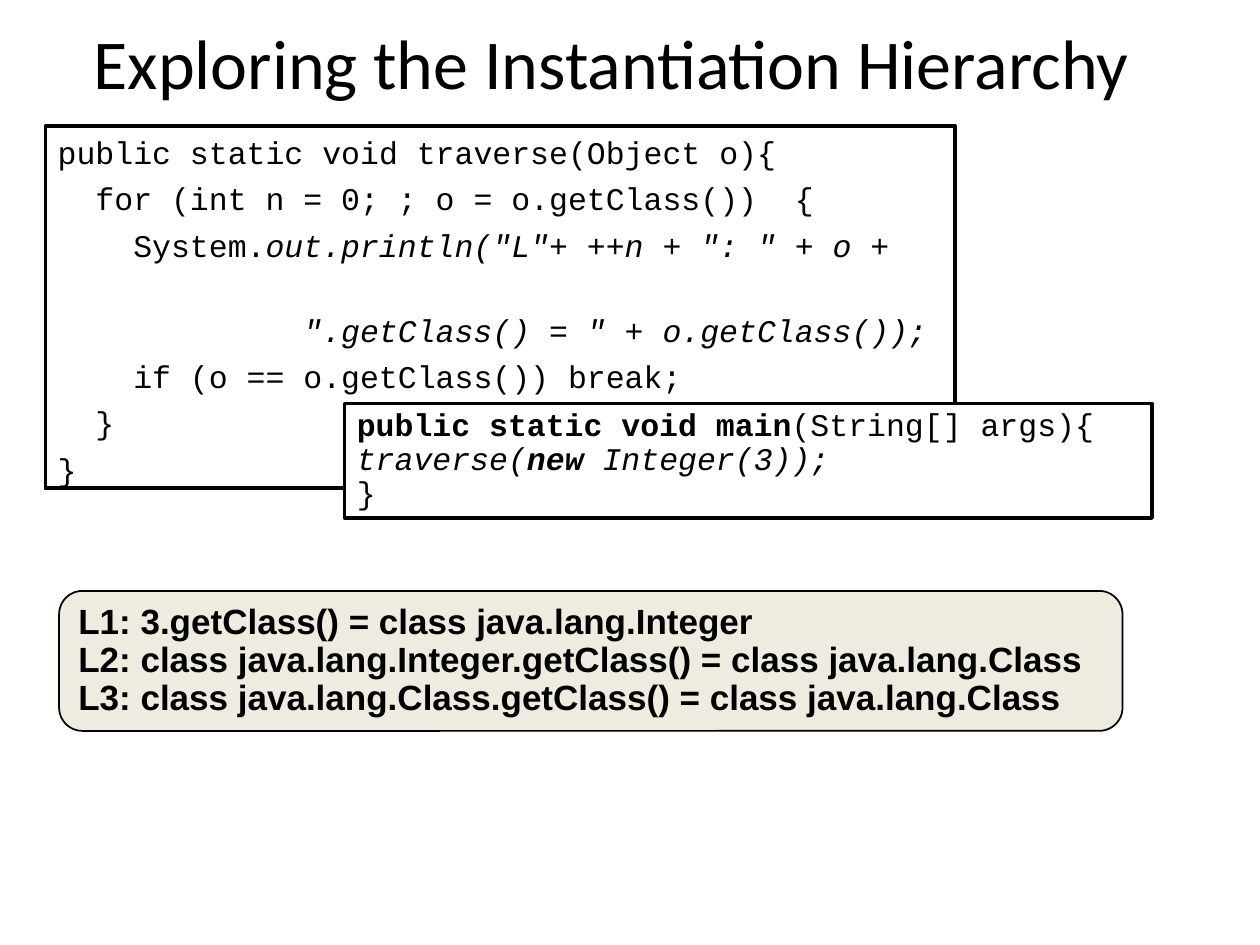
import pptx
import pptx.dml.color
import pptx.enum.shapes
import pptx.enum.text
import pptx.util

Pt = pptx.util.Pt
BLACK = pptx.dml.color.RGBColor(0x00, 0x00, 0x00)
WHITE = pptx.dml.color.RGBColor(0xFF, 0xFF, 0xFF)
CREAM = pptx.dml.color.RGBColor(0xEE, 0xEC, 0xE1)
SHAPES = pptx.enum.shapes.MSO_SHAPE
ANCHOR = pptx.enum.text.MSO_ANCHOR
ALIGN = pptx.enum.text.PP_ALIGN
CHAR = 10.8

TRAVERSE = [
    (0, [("public static void traverse(Object o){", {})]),
    (2, [("for (int n = 0; ; o = o.getClass())  {", {})]),
    (4, [("System.", {}),
         ('out.println("L"+ ++n + ": " + o +', {"italic": True})]),
    (13, [('".getClass() = " + o.getClass());', {"italic": True})]),
    (4, [("if (o == o.getClass()) break;", {})]),
    (2, [("}", {})]),
    (0, [("}", {})]),
]
MAIN = [
    [("public static void main", {"bold": True}), ("(String[] args){", {})],
    [("traverse(", {"italic": True}),
     ("new", {"italic": True, "bold": True}),
     (" Integer(3));", {"italic": True})],
    [("}", {})],
]
OUTPUT = [
    "L1: 3.getClass() = class java.lang.Integer",
    "L2: class java.lang.Integer.getClass() = class java.lang.Class",
    "L3: class java.lang.Class.getClass() = class java.lang.Class",
]


def add_text(p, text, font="Courier New", size=18, bold=False, italic=False,
             color=BLACK):
    """Add a formatted run to a paragraph."""
    r = p.add_run()
    r.text = text
    r.font.name = font
    r.font.size = Pt(size)
    r.font.bold = bold
    r.font.italic = italic
    r.font.color.rgb = color


class Deck:
    """Hold the presentation, its style and the current slide."""

    def __init__(self, width, height):
        """Start a presentation with one title-only slide."""
        self.prs = pptx.Presentation()
        self.prs.slide_width = Pt(width)
        self.prs.slide_height = Pt(height)
        self.s = self.prs.slides.add_slide(self.prs.slide_layouts[5])

    def title(self, text, x, y, w, h):
        """Place and fill the title."""
        sp = self.s.shapes.title
        sp.left, sp.top, sp.width, sp.height = Pt(x), Pt(y), Pt(w), Pt(h)
        tf = sp.text_frame
        tf.auto_size = pptx.enum.text.MSO_AUTO_SIZE.NONE
        tf.vertical_anchor = ANCHOR.MIDDLE
        p = tf.paragraphs[0]
        p.alignment = ALIGN.CENTER
        add_text(p, text, font="Calibri", size=40)

    def box(self, lines, x, y, w, h, kind=SHAPES.RECTANGLE, fill=WHITE,
            line=2, anchor=ANCHOR.TOP, spacing=0.9):
        """Add a bordered box and return its paragraphs."""
        sp = self.s.shapes.add_shape(kind, Pt(x), Pt(y), Pt(w), Pt(h))
        sp.shadow.inherit = False
        sp.fill.solid()
        sp.fill.fore_color.rgb = fill
        sp.line.color.rgb = BLACK
        sp.line.width = Pt(line)
        tf = sp.text_frame
        tf.word_wrap = True
        tf.vertical_anchor = anchor
        for i, runs in enumerate(lines):
            p = tf.add_paragraph() if i else tf.paragraphs[0]
            p.alignment = ALIGN.LEFT
            p.line_spacing = spacing
            for text, fmt in runs:
                add_text(p, text, **fmt)
        return tf.paragraphs

    def code(self, lines, x, y, w, h):
        """Add a box of code indented by character columns."""
        paragraphs = self.box([runs for _, runs in lines], x, y, w, h,
                              spacing=Pt(22))
        for p, (columns, _) in zip(paragraphs, lines):
            p._p.get_or_add_pPr().set("marL", str(Pt(columns * CHAR)))
            p.space_before = Pt(26.5 if columns > 4 else 4.5)


def main():
    """Build the slide and save it."""
    deck = Deck(720, 540)
    deck.title("Exploring the Instantiation Hierarchy", 25.2, 9.4, 648, 51)
    deck.code(TRAVERSE, 25.9, 72, 520, 207)
    deck.box(MAIN, 196.8, 230.5, 461.5, 65.5)
    style = {"font": "Arial", "size": 20, "bold": True}
    deck.box([[(text, style)] for text in OUTPUT], 33.8, 337.7, 607.7, 80,
             kind=SHAPES.ROUNDED_RECTANGLE, fill=CREAM, line=1,
             anchor=ANCHOR.MIDDLE)
    deck.prs.save("out.pptx")


if __name__ == "__main__":
    main()
